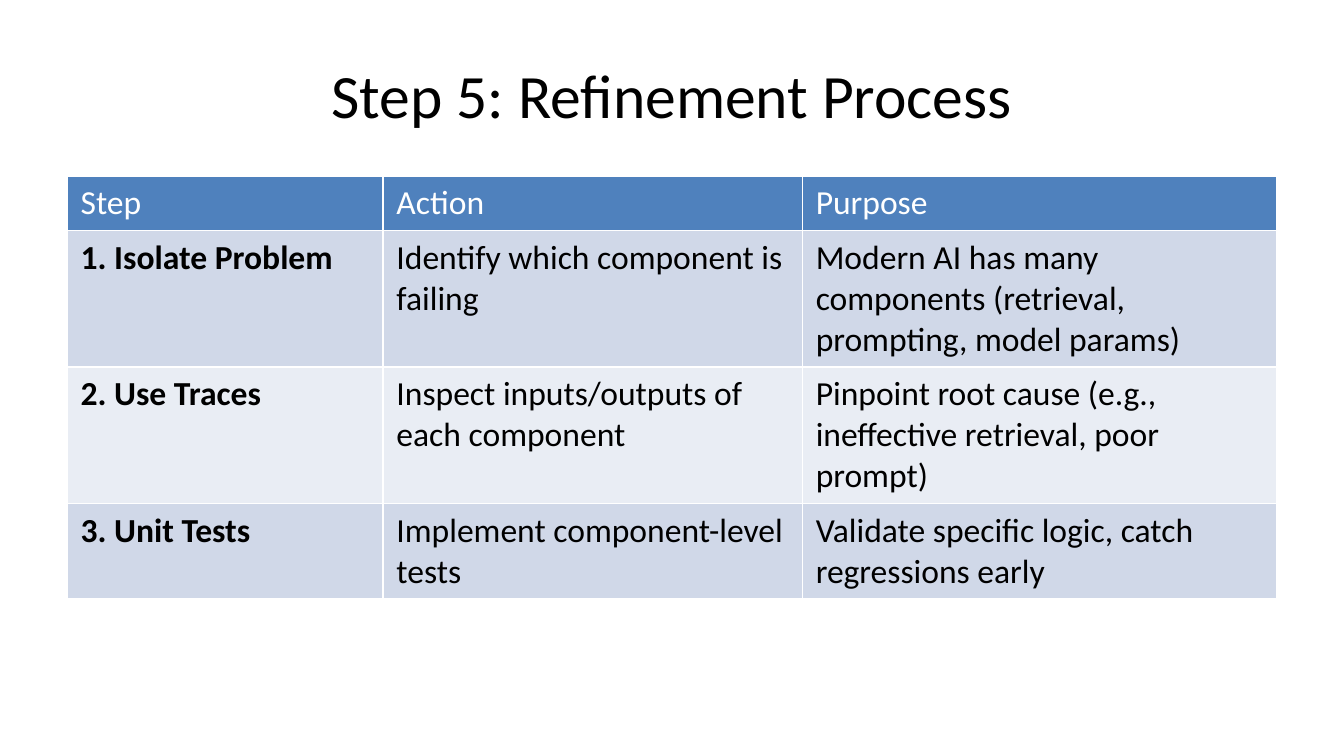
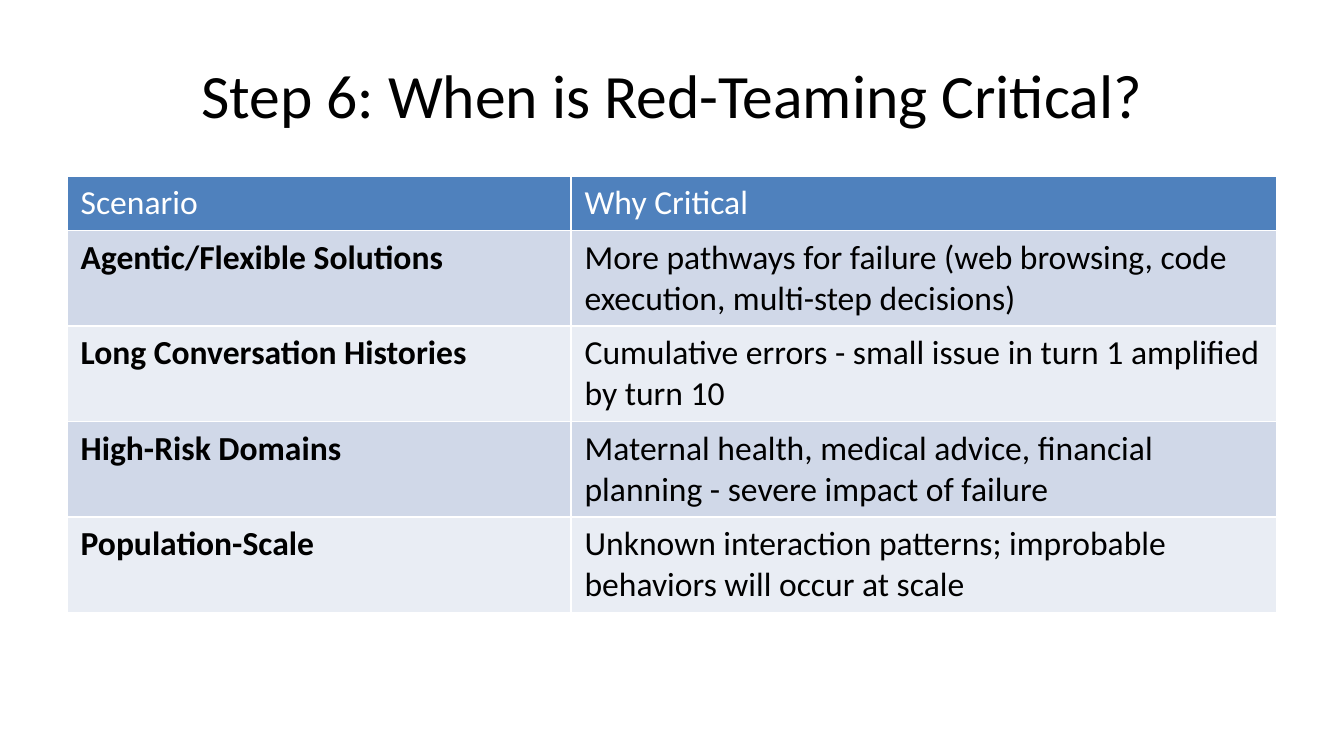
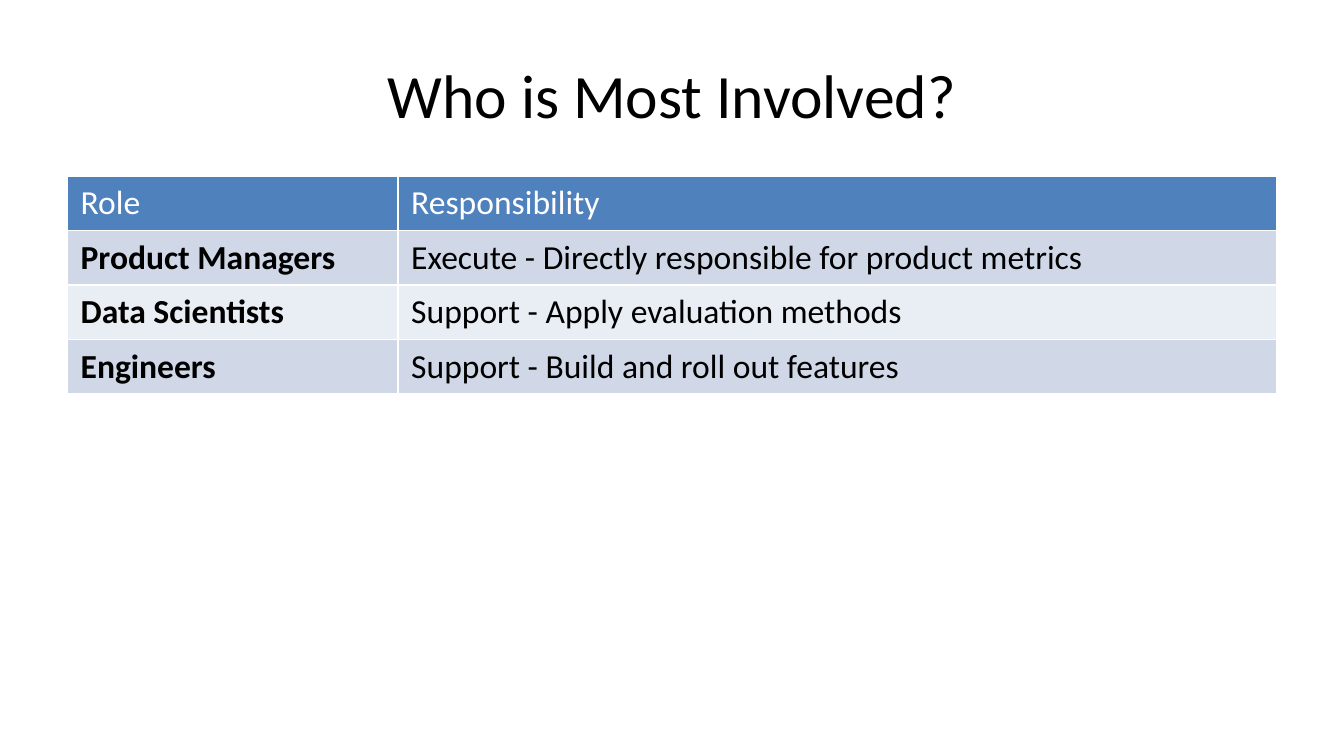
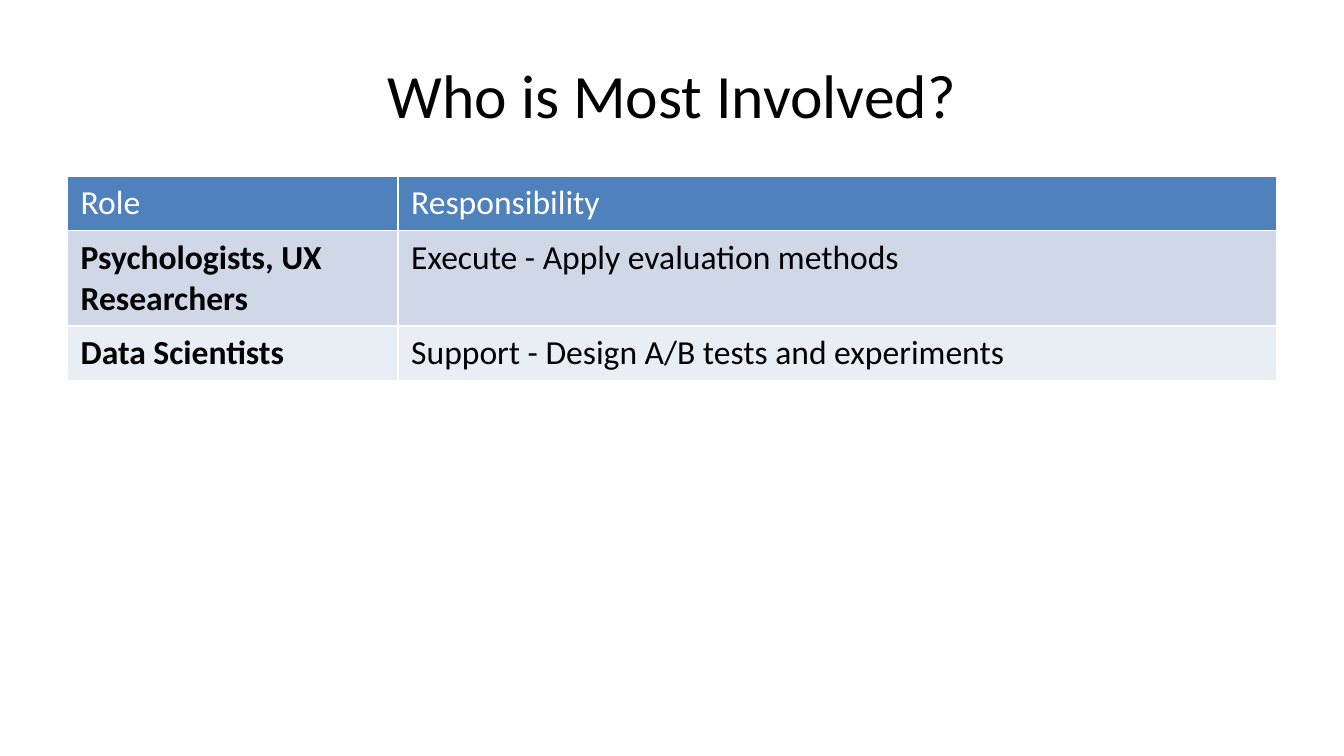
"""Builds four slides that each hold a title and a table."""
from dataclasses import dataclass

from pptx import Presentation
from pptx import util as u
from pptx.dml import color
from pptx.enum import text

COLORS = {
    "text": "000000",
    "header_text": "FFFFFF",
    "header": "4F81BD",
    "odd_row": "D0D8E8",
    "even_row": "E9EDF4",
}
FONT = "Calibri"
TITLE_SIZE = 33
TABLE_SIZE = 18
SLIDE_WIDTH = u.Inches(10)
SLIDE_HEIGHT = SLIDE_WIDTH * 9 // 16
LEFT, WIDTH = u.Inches(0.5), u.Inches(9)
TITLE_TOP, TITLE_HEIGHT = u.Inches(0.23), u.Inches(0.94)
TABLE_TOP, TABLE_HEIGHT = u.Inches(1.31), u.Inches(3.71)
TITLE_ONLY = 5


@dataclass(frozen=True)
class TableSlide:
    title: str
    column_widths: tuple[float, ...]
    rows: tuple[tuple[str, ...], ...]


ROLE_TITLE = "Who is Most Involved?"
ROLE_WIDTHS = (2.46, 6.54)
ROLE_HEADER = ("Role", "Responsibility")

TABLE_SLIDES = (
    TableSlide(
        "Step 5: Refinement Process",
        (2.35, 3.12, 3.53),
        (
            ("Step", "Action", "Purpose"),
            ("1. Isolate Problem", "Identify which component is failing",
             "Modern AI has many components (retrieval, prompting, model params)"),
            ("2. Use Traces", "Inspect inputs/outputs of each component",
             "Pinpoint root cause (e.g., ineffective retrieval, poor prompt)"),
            ("3. Unit Tests", "Implement component-level tests",
             "Validate specific logic, catch regressions early"),
        ),
    ),
    TableSlide(
        "Step 6: When is Red-Teaming Critical?",
        (3.75, 5.25),
        (
            ("Scenario", "Why Critical"),
            ("Agentic/Flexible Solutions",
             "More pathways for failure (web browsing, code execution, multi-step decisions)"),
            ("Long Conversation Histories",
             "Cumulative errors - small issue in turn 1 amplified by turn 10"),
            ("High-Risk Domains",
             "Maternal health, medical advice, financial planning - severe impact of failure"),
            ("Population-Scale",
             "Unknown interaction patterns; improbable behaviors will occur at scale"),
        ),
    ),
    TableSlide(
        ROLE_TITLE,
        ROLE_WIDTHS,
        (
            ROLE_HEADER,
            ("Product Managers", "Execute - Directly responsible for product metrics"),
            ("Data Scientists", "Support - Apply evaluation methods"),
            ("Engineers", "Support - Build and roll out features"),
        ),
    ),
    TableSlide(
        ROLE_TITLE,
        ROLE_WIDTHS,
        (
            ROLE_HEADER,
            ("Psychologists, UX Researchers", "Execute - Apply evaluation methods"),
            ("Data Scientists", "Support - Design A/B tests and experiments"),
        ),
    ),
)


def rgb(name: str) -> color.RGBColor:
    return color.RGBColor.from_string(COLORS[name])


def format_runs(paragraph, size: float, color_name: str, bold: bool = False) -> None:
    for run in paragraph.runs:
        run.font.name = FONT
        run.font.size = u.Pt(size)
        run.font.bold = bold
        run.font.color.rgb = rgb(color_name)


def draw_title(slide, title: str) -> None:
    shape = slide.shapes.title
    shape.left, shape.top = LEFT, TITLE_TOP
    shape.width, shape.height = WIDTH, TITLE_HEIGHT
    shape.text_frame.text = title
    shape.text_frame.vertical_anchor = text.MSO_ANCHOR.MIDDLE
    paragraph = shape.text_frame.paragraphs[0]
    paragraph.alignment = text.PP_ALIGN.CENTER
    format_runs(paragraph, TITLE_SIZE, "text")


def draw_cell(cell, content: str, row: int, column: int) -> None:
    is_header = row == 0
    fill_name = "header" if is_header else ("odd_row" if row % 2 else "even_row")
    cell.fill.solid()
    cell.fill.fore_color.rgb = rgb(fill_name)
    cell.text_frame.text = content
    format_runs(
        cell.text_frame.paragraphs[0],
        TABLE_SIZE,
        "header_text" if is_header else "text",
        bold=column == 0 and not is_header,
    )


def draw_table(slide, content: TableSlide) -> None:
    frame = slide.shapes.add_table(
        len(content.rows), len(content.column_widths),
        LEFT, TABLE_TOP, WIDTH, TABLE_HEIGHT,
    )
    table = frame.table
    for column, width in zip(table.columns, content.column_widths):
        column.width = u.Inches(width)
    for row_index, values in enumerate(content.rows):
        table.rows[row_index].height = u.Inches(0)
        for column_index, value in enumerate(values):
            draw_cell(table.cell(row_index, column_index), value, row_index, column_index)
    frame.height = TABLE_HEIGHT


def main() -> None:
    presentation = Presentation()
    presentation.slide_width = SLIDE_WIDTH
    presentation.slide_height = SLIDE_HEIGHT
    for content in TABLE_SLIDES:
        slide = presentation.slides.add_slide(presentation.slide_layouts[TITLE_ONLY])
        draw_title(slide, content.title)
        draw_table(slide, content)
    presentation.save("out.pptx")


if __name__ == "__main__":
    main()
